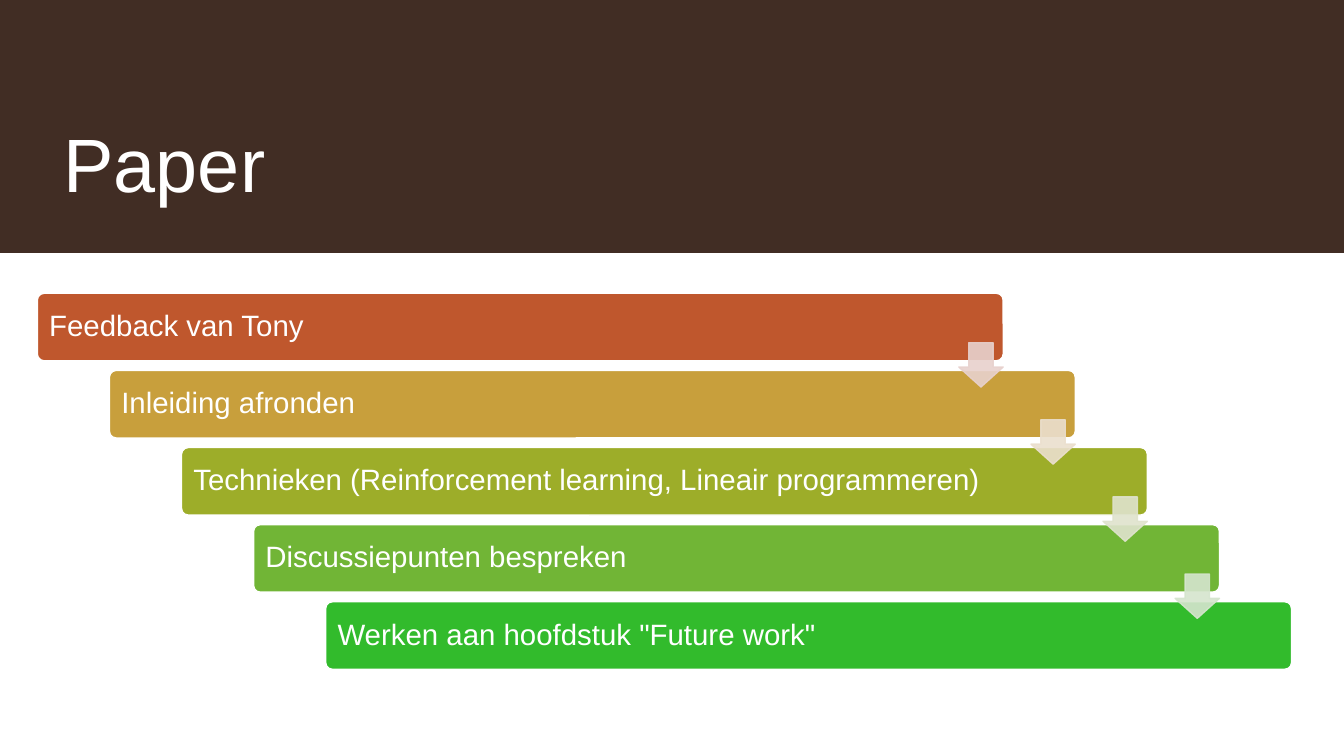
"""Build the "Paper" slide: a staircase of five steps joined by arrows."""
from lxml import etree
from pptx import Presentation
from pptx.dml.color import RGBColor
from pptx.enum import shapes, text
from pptx.oxml.ns import qn
from pptx.util import Inches, Pt

COLORS = {"band": "412D24", "white": "FFFFFF"}
STEPS = [
    ("Feedback van Tony", "BF572D", "E8D1CD"),
    ("Inleiding afronden", "C89F3C", "EBDFCE"),
    ("Technieken (Reinforcement learning, Lineair programmeren)", "9DAD29", "DFE3CD"),
    ("Discussiepunten bespreken", "71B536", "D5E5CE"),
    ('Werken aan hoofdstuk "Future work"', "32BB2C", None),
]
STEP_X, STEP_Y = 0.715, 0.765


def add_shape(kind, left, top, width, height, fill, line=None):
    sp = slide.shapes.add_shape(kind, Inches(left), Inches(top), Inches(width), Inches(height))
    sp.shadow.inherit = False
    sp.fill.solid()
    sp.fill.fore_color.rgb = RGBColor.from_string(fill)
    if line:
        sp.line.color.rgb = RGBColor.from_string(line)
        sp.line.width = Pt(1)
    else:
        sp.line.fill.background()
    return sp


def write(tf, words, size):
    tf.text = words
    p = tf.paragraphs[0]
    p.alignment = text.PP_ALIGN.LEFT
    p.line_spacing = 0.9
    font = p.runs[0].font
    font.name = "Arial"
    font.size = Pt(size)
    font.color.rgb = RGBColor.from_string(COLORS["white"])


prs = Presentation()
prs.slide_width, prs.slide_height = Inches(13.33), Inches(7.5)
slide = prs.slides.add_slide(prs.slide_layouts[5])
slide.background.fill.solid()
slide.background.fill.fore_color.rgb = RGBColor.from_string(COLORS["white"])

band = add_shape(shapes.MSO_SHAPE.RECTANGLE, 0, 0, 13.33, 2.51, COLORS["band"])
slide.shapes._spTree.insert(2, band._element)

title = slide.shapes.title
title.left, title.top, title.width, title.height = map(Inches, (0.53, 0.4, 11.89, 1.72))
title.text_frame.vertical_anchor = text.MSO_ANCHOR.BOTTOM
write(title.text_frame, "Paper", 54)

for i, (words, fill, _) in enumerate(STEPS):
    bar = add_shape(shapes.MSO_SHAPE.ROUNDED_RECTANGLE, 0.37 + i * STEP_X, 2.91 + i * STEP_Y,
                    9.58, 0.67, fill, COLORS["white"])
    bar.adjustments[0] = 0.1
    tf = bar.text_frame
    tf.word_wrap = True
    tf.vertical_anchor = text.MSO_ANCHOR.MIDDLE
    tf.margin_left = Inches(0.1)
    write(tf, words, 21)

for i, (_, _, tint) in enumerate(STEPS[:-1]):
    arrow = add_shape(shapes.MSO_SHAPE.DOWN_ARROW, 9.51 + i * STEP_X, 3.4 + i * STEP_Y,
                      0.44, 0.44, tint, tint)
    arrow.adjustments[0], arrow.adjustments[1] = 0.45, 0.45
    arrow.adjustments[0] = 0.55
    for color in arrow._element.spPr.iter(qn("a:srgbClr")):
        etree.SubElement(color, qn("a:alpha"), val="90000")

prs.save("out.pptx")
